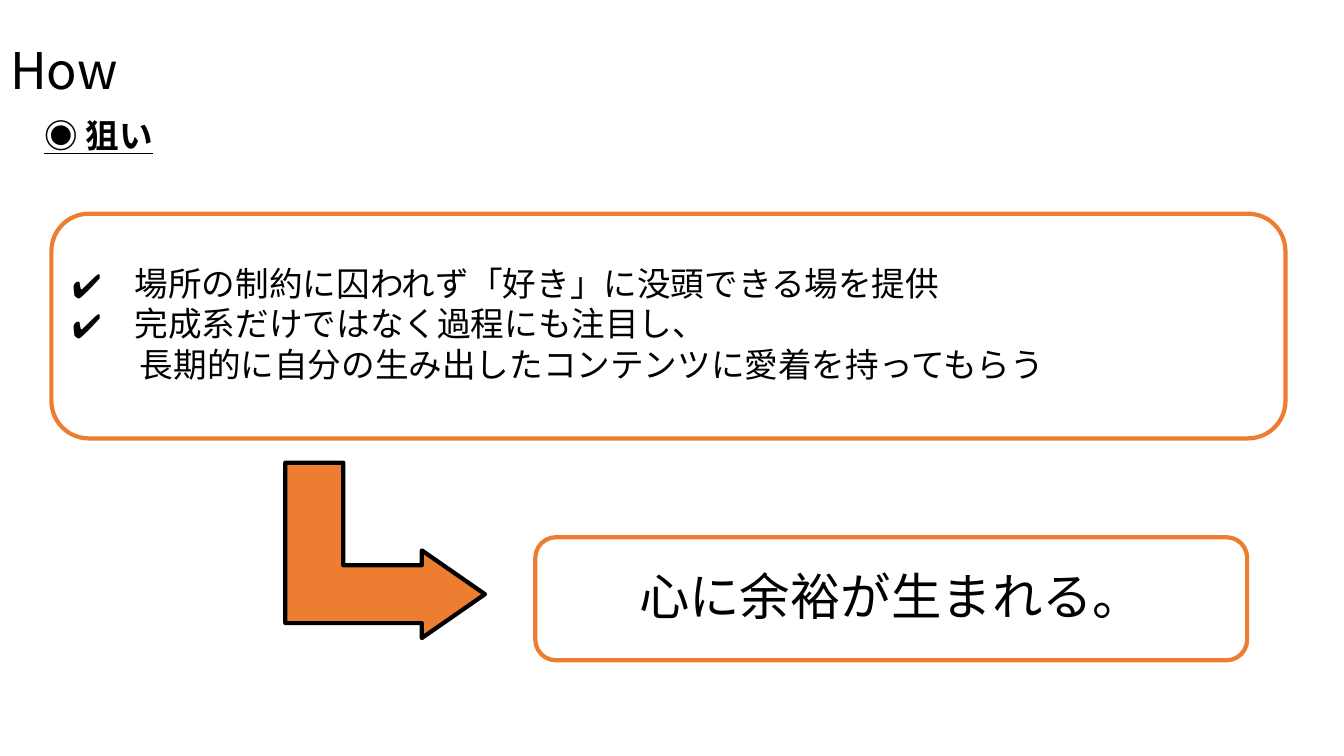
from dataclasses import dataclass

import pptx
import pptx.dml.color
import pptx.enum.shapes
import pptx.enum.text
import pptx.oxml
import pptx.oxml.ns
import pptx.util
from pptx.util import Inches

PP_ALIGN = pptx.enum.text.PP_ALIGN
MIDDLE = pptx.enum.text.MSO_ANCHOR.MIDDLE
MSO_SHAPE = pptx.enum.shapes.MSO_SHAPE


@dataclass(frozen=True)
class Theme:
    font: str = "Noto Sans CJK JP"
    ink: str = "000000"
    paper: str = "FFFFFF"
    accent: str = "ED7D31"
    large: int = 36
    body: int = 24
    outline: int = 3
    line_spacing: float = 0.9
    space_after: int = 3


@dataclass(frozen=True)
class Line:
    text: str
    indent: float = 0
    checked: bool = False


@dataclass(frozen=True)
class Panel:
    left: float
    top: float
    width: float
    height: float
    inset: float
    size: int
    align: PP_ALIGN
    lines: tuple[Line, ...]


THEME = Theme()
PANELS = (
    Panel(0.51, 2.12, 12.24, 2.23, 0.1, THEME.body, PP_ALIGN.LEFT, (
        Line("場所の制約に囚われず「好き」に没頭できる場を提供", 0.62, True),
        Line("完成系だけではなく過程にも注目し、", 0.62, True),
        Line("長期的に自分の生み出したコンテンツに愛着を持ってもらう", 0.67),
    )),
    Panel(5.31, 5.33, 7.06, 1.22, 0.15, THEME.large, PP_ALIGN.CENTER, (
        Line("心に余裕が生まれる。"),
    )),
)


def rgb(value: str) -> pptx.dml.color.RGBColor:
    return pptx.dml.color.RGBColor.from_string(value)


def set_font(paragraph, size: int) -> None:
    """Apply the theme font to Latin and East Asian text alike."""
    font = paragraph.font
    font.name = THEME.font
    font.size = pptx.util.Pt(size)
    font.color.rgb = rgb(THEME.ink)
    defaults = paragraph._p.pPr.find(pptx.oxml.ns.qn("a:defRPr"))
    east_asian = pptx.oxml.parse_xml(
        f'<a:ea {pptx.oxml.ns.nsdecls("a")} typeface="{THEME.font}"/>')
    defaults.find(pptx.oxml.ns.qn("a:latin")).addnext(east_asian)


def set_indent(paragraph, line: Line) -> None:
    """Indent the line, hanging a check mark before it when it is checked."""
    properties = paragraph._p.get_or_add_pPr()
    properties.set("marL", str(Inches(line.indent)))
    properties.set("indent", str(-Inches(line.indent) if line.checked else 0))
    if line.checked:
        namespace = pptx.oxml.ns.nsdecls("a")
        for bullet in (f'<a:buFont {namespace} typeface="{THEME.font}"/>',
                       f'<a:buChar {namespace} char="✔"/>'):
            properties.append(pptx.oxml.parse_xml(bullet))


def paint(shape, fill: str, outline: str) -> None:
    shape.shadow.inherit = False
    shape.fill.solid()
    shape.fill.fore_color.rgb = rgb(fill)
    shape.line.color.rgb = rgb(outline)
    shape.line.width = pptx.util.Pt(THEME.outline)


def add_title(slide, text: str) -> None:
    title = slide.shapes.title
    title.left, title.top = Inches(0), Inches(0)
    title.width, title.height = Inches(11.5), Inches(1.45)
    frame = title.text_frame
    frame.text = text
    frame.auto_size = pptx.enum.text.MSO_AUTO_SIZE.NONE
    frame.vertical_anchor = MIDDLE
    paragraph = frame.paragraphs[0]
    paragraph.alignment = PP_ALIGN.LEFT
    paragraph.line_spacing = THEME.line_spacing
    set_font(paragraph, THEME.large)


def add_heading(slide, text: str) -> None:
    heading = slide.shapes.add_textbox(
        Inches(0.34), Inches(1.09), Inches(1.31), Inches(0.5))
    frame = heading.text_frame
    frame.word_wrap = False
    frame.text = text
    paragraph = frame.paragraphs[0]
    set_font(paragraph, THEME.body)
    paragraph.font.bold = True
    paragraph.font.underline = True


def add_bent_arrow(slide) -> None:
    arrow = slide.shapes.add_shape(
        MSO_SHAPE.BENT_UP_ARROW,
        Inches(2.95), Inches(4.47), Inches(1.74), Inches(1.98))
    arrow.rotation = 90
    for index, value in enumerate((0.33, 0.25, 0.36)):
        arrow.adjustments[index] = value
    paint(arrow, THEME.accent, THEME.ink)


def add_panel(slide, panel: Panel) -> None:
    box = slide.shapes.add_shape(
        MSO_SHAPE.ROUNDED_RECTANGLE, Inches(panel.left), Inches(panel.top),
        Inches(panel.width), Inches(panel.height))
    paint(box, THEME.paper, THEME.accent)
    frame = box.text_frame
    frame.word_wrap = True
    frame.vertical_anchor = MIDDLE
    frame.margin_left = frame.margin_right = Inches(panel.inset)
    frame.margin_top = frame.margin_bottom = Inches(panel.inset)
    for index, line in enumerate(panel.lines):
        paragraph = frame.add_paragraph() if index else frame.paragraphs[0]
        paragraph.text = line.text
        paragraph.alignment = panel.align
        paragraph.line_spacing = THEME.line_spacing
        paragraph.space_after = pptx.util.Pt(THEME.space_after)
        set_indent(paragraph, line)
        set_font(paragraph, panel.size)


def main() -> None:
    presentation = pptx.Presentation()
    presentation.slide_width = Inches(13.33)
    presentation.slide_height = Inches(7.5)
    slide = presentation.slides.add_slide(presentation.slide_layouts[5])
    add_title(slide, "How")
    add_heading(slide, "◉ 狙い")
    add_bent_arrow(slide)
    for panel in PANELS:
        add_panel(slide, panel)
    presentation.save("out.pptx")


if __name__ == "__main__":
    main()
